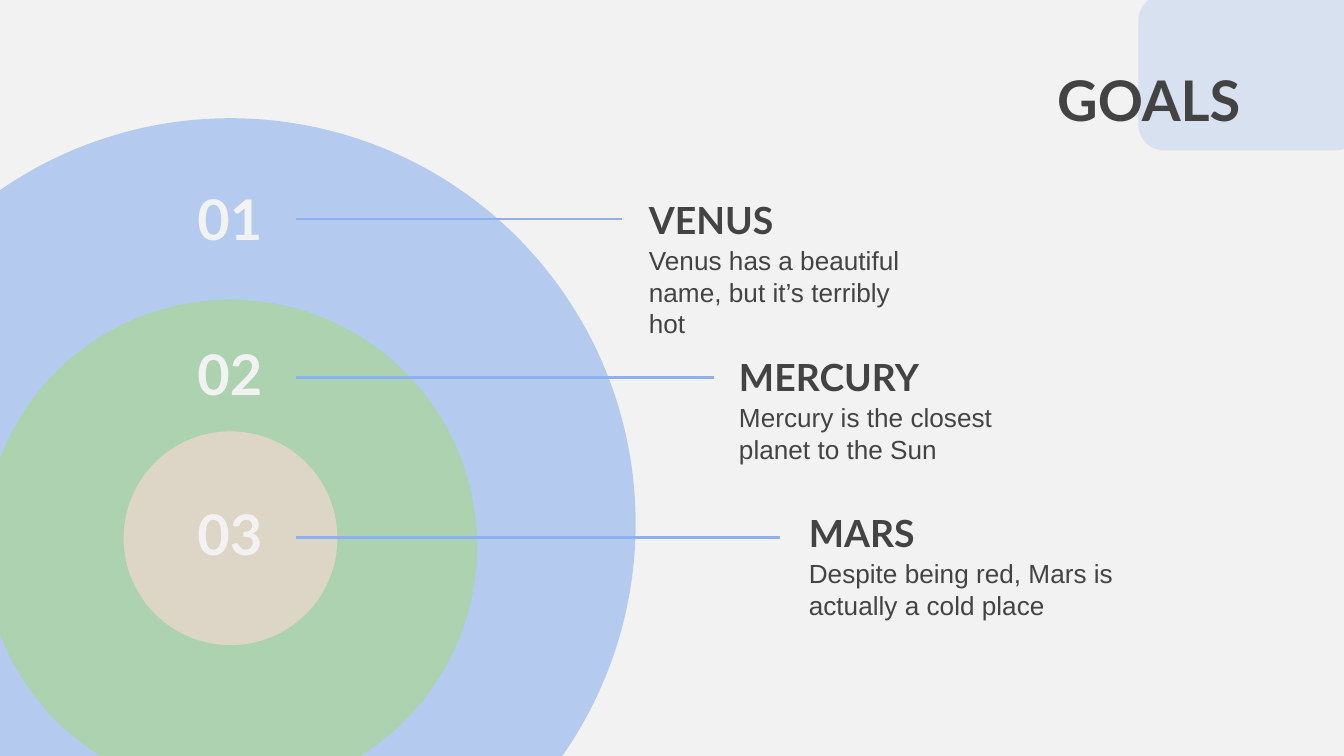
from lxml import etree
from pptx import Presentation
from pptx.dml.color import RGBColor
from pptx.enum.shapes import MSO_CONNECTOR, MSO_SHAPE
from pptx.enum.text import MSO_ANCHOR, MSO_AUTO_SIZE, PP_ALIGN
from pptx.oxml.ns import qn
from pptx.util import Inches, Pt

ELLIPSE, ROUNDED = MSO_SHAPE.OVAL, MSO_SHAPE.ROUNDED_RECTANGLE
STRAIGHT = MSO_CONNECTOR.STRAIGHT
TOP, BOTTOM = MSO_ANCHOR.TOP, MSO_ANCHOR.BOTTOM
LEFT, CENTER, RIGHT = PP_ALIGN.LEFT, PP_ALIGN.CENTER, PP_ALIGN.RIGHT
BLUE, GREEN, SAND = "8CB1EE", "ABD59A", "F2D9CF"
DARK, LIGHT = "434343", "F2F2F2"


def paint(target, color, opacity=100):
    """Give a fill a solid hex colour, with opacity in percent."""
    target.fill.solid()
    target.fill.fore_color.rgb = RGBColor.from_string(color)
    if opacity < 100:
        rgb = target.fill._xPr.find(".//" + qn("a:srgbClr"))
        etree.SubElement(rgb, qn("a:alpha"), val=str(opacity * 1000))


def write(sp, text, size, font="Lato", color=DARK, align=LEFT, anchor=BOTTOM):
    """Fill a text shape with one formatted paragraph; Lato is set bold."""
    tf = sp.text_frame
    tf.word_wrap = True
    tf.auto_size = MSO_AUTO_SIZE.NONE
    tf.vertical_anchor = anchor
    tf.margin_left = tf.margin_right = Inches(0.1)
    tf.margin_top = tf.margin_bottom = Inches(0.1)
    p = tf.paragraphs[0]
    p.text = text
    p.alignment = align
    p.font.name = font
    p.font.size = Pt(size)
    p.font.bold = font == "Lato"
    p.font.color.rgb = RGBColor.from_string(color)


prs = Presentation()
prs.slide_width, prs.slide_height = Inches(10), Inches(10 * 9 / 16)
s = prs.slides.add_slide(prs.slide_layouts[5])
paint(s.background, LIGHT)

# Corner panel and concentric circles
shapes = [
    (ROUNDED, 8.47, -0.04, 1.66, 1.16, BLUE, 25),
    (ELLIPSE, -1.3, 0.88, 6.03, 6.03, BLUE, 60),
    (ELLIPSE, -0.12, 2.23, 3.67, 3.67, GREEN, 74),
    (ELLIPSE, 0.92, 3.21, 1.59, 1.59, SAND, 71),
]
for kind, x, y, w, h, color, opacity in shapes:
    sp = s.shapes.add_shape(kind, Inches(x), Inches(y), Inches(w), Inches(h))
    sp.shadow.inherit = False
    paint(sp, color, opacity)
    sp.line.fill.background()

# Title, brought in front of the corner panel
title = s.shapes.title
title.left, title.top = Inches(5.94), Inches(0.39)
title.width, title.height = Inches(3.39), Inches(1.02)
write(title, "GOALS", 30, align=RIGHT, anchor=TOP)
s.shapes._spTree.append(title._element)

# Number, heading, description and leader line of each goal
goals = [
    ("01", 1.34, "VENUS", 4.73, 1.27, 2.19, 1.63, 4.63,
     "Venus has a beautiful name, but it’s terribly hot"),
    ("02", 2.5, "MERCURY", 5.4, 2.44, 2.19, 2.81, 5.31,
     "Mercury is the closest planet to the Sun"),
    ("03", 3.69, "MARS", 5.92, 3.6, 2.67, 4, 5.8,
     "Despite being red, Mars is actually a cold place"),
]
for number, number_y, name, x, y, body_w, line_y, line_end, body in goals:
    sp = s.shapes.add_textbox(Inches(1.32), Inches(number_y), Inches(0.78), Inches(0.63))
    write(sp, number, 30, color=LIGHT, align=CENTER)
    sp = s.shapes.add_textbox(Inches(x), Inches(y), Inches(1.71), Inches(0.63))
    write(sp, name, 20)
    sp = s.shapes.add_textbox(Inches(x), Inches(y + 0.45), Inches(body_w), Inches(0.96))
    write(sp, body, 14, font="Arial", anchor=TOP)
    line = s.shapes.add_connector(
        STRAIGHT, Inches(2.2), Inches(line_y), Inches(line_end), Inches(line_y))
    line.line.color.rgb = RGBColor.from_string(BLUE)
    line.line.width = Pt(1.5)
    etree.SubElement(line._element.spPr, qn("a:effectLst"))

prs.save("out.pptx")
